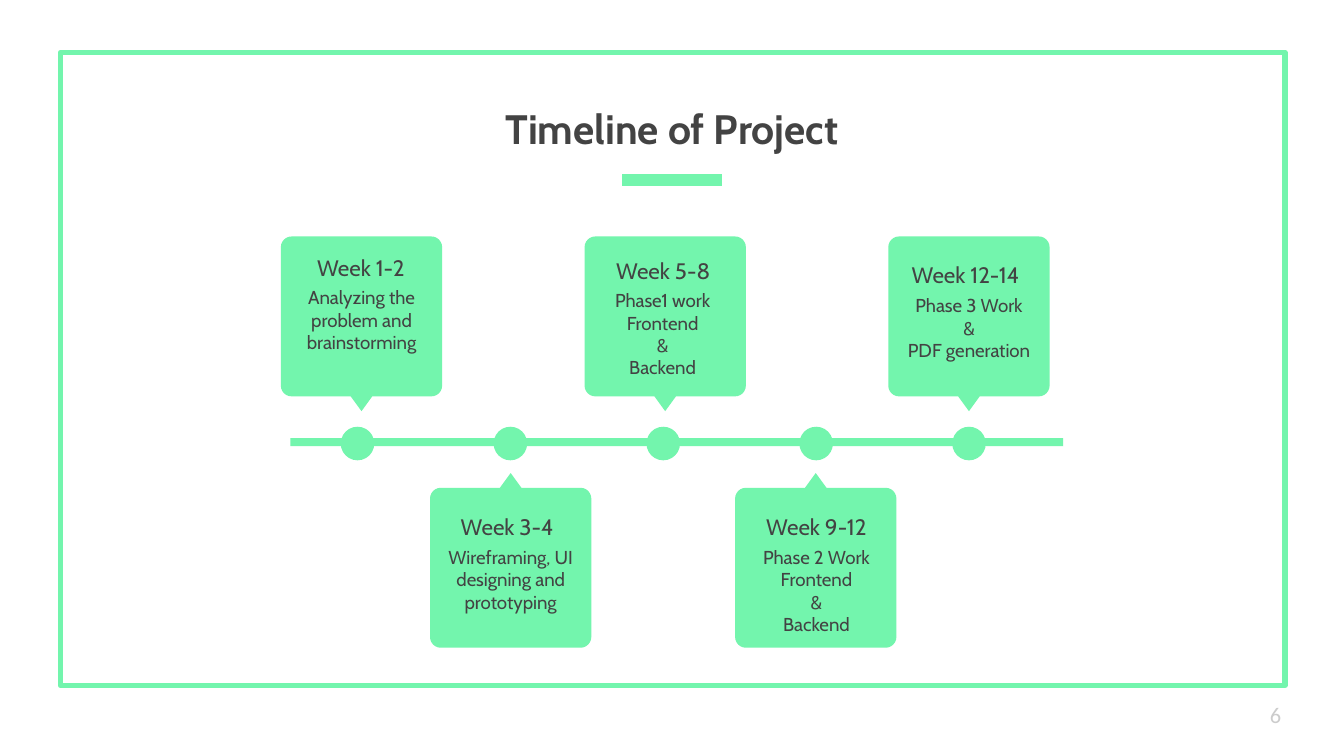
import math
from lxml import etree
from pptx import Presentation
from pptx.dml.color import RGBColor
from pptx.enum.shapes import MSO_CONNECTOR, MSO_SHAPE
from pptx.enum.text import MSO_ANCHOR, PP_ALIGN
from pptx.oxml.ns import qn
from pptx.util import Inches, Pt

TOP, MIDDLE, BOTTOM = MSO_ANCHOR.TOP, MSO_ANCHOR.MIDDLE, MSO_ANCHOR.BOTTOM
LEFT, CENTER = PP_ALIGN.LEFT, PP_ALIGN.CENTER
RECTANGLE, OVAL, STRAIGHT = MSO_SHAPE.RECTANGLE, MSO_SHAPE.OVAL, MSO_CONNECTOR.STRAIGHT

COLORS = {"mint": "73F5AD", "text": "434343", "number": "CCCCCC"}
SLIDE_WIDTH = 10
CARD_WIDTH, CARD_HEIGHT, CORNER = 1.2, 1.19, 0.08
POINTER_HALF, POINTER_HEIGHT = 0.08, 0.11
DOT_SIZE, FIRST_DOT, LAST_DOT, DOT_MIDDLE = 0.25, 2.66, 7.21, 3.3

MILESTONES = [
    {"card": (2.09, 1.76), "down": True,
     "week": "Week 1-2", "week_box": (2.22, 1.79, 0.93, 0.26),
     "work": ["Analyzing the problem and brainstorming"], "work_box": (2.09, 2.03, 1.2, 0.9)},
    {"card": (3.2, 3.63), "down": False,
     "week": "Week 3-4", "week_box": (3.31, 3.72, 0.93, 0.37),
     "work": ["Wireframing, UI designing and prototyping"], "work_box": (3.22, 3.96, 1.16, 0.74)},
    {"card": (4.35, 1.76), "down": True,
     "week": "Week 5-8", "week_box": (4.47, 1.81, 0.93, 0.37),
     "work": ["Phase1 work", "Frontend", "&", "Backend"], "work_box": (4.33, 2.05, 1.2, 0.74)},
    {"card": (5.47, 3.63), "down": False,
     "week": "Week 9-12", "week_box": (5.54, 3.72, 1.07, 0.37),
     "work": ["Phase 2 Work", "Frontend", "&", "Backend"], "work_box": (5.46, 3.96, 1.23, 0.74)},
    {"card": (6.61, 1.76), "down": True,
     "week": "Week 12-14", "week_box": (6.58, 1.84, 1.21, 0.37),
     "work": ["Phase 3 Work", "&", "PDF generation"], "work_box": (6.51, 2.09, 1.4, 0.74)},
]


def color(name):
    return RGBColor.from_string(COLORS[name])


def paint(shape):
    shape.shadow.inherit = False
    shape.fill.solid()
    shape.fill.fore_color.rgb = color("mint")
    shape.line.fill.background()


def place(shape, box):
    shape.left, shape.top, shape.width, shape.height = map(Inches, box)


def write(shape, lines, size, ink="text", font="Cabin", bold=False, align=CENTER, anchor=TOP):
    frame = shape.text_frame
    frame.word_wrap = True
    frame.vertical_anchor = anchor
    frame.margin_left = frame.margin_right = Inches(0.1)
    frame.margin_top = frame.margin_bottom = Inches(0.1)
    for index, line in enumerate(lines):
        paragraph = frame.add_paragraph() if index else frame.paragraphs[0]
        paragraph.alignment = align
        run = paragraph.add_run()
        run.text = line
        run.font.size = Pt(size)
        run.font.name = font
        run.font.bold = bold
        run.font.color.rgb = color(ink)


def add_text(slide, box, lines, size, **style):
    write(slide.shapes.add_textbox(*map(Inches, box)), lines, size, **style)


def add_title(slide, title):
    place(slide.shapes.title, (0, 0.24, SLIDE_WIDTH, 1))
    write(slide.shapes.title, [title], 22, bold=True, anchor=BOTTOM)


def add_frame(slide):
    border = slide.shapes.add_shape(RECTANGLE, *map(Inches, (0.45, 0.39, 9.11, 4.71)))
    border.shadow.inherit = False
    border.fill.background()
    border.line.color.rgb = color("mint")
    border.line.width = Pt(3)


def add_line(slide, start, end, width):
    line = slide.shapes.add_connector(STRAIGHT, *map(Inches, (*start, *end)))
    line.line.color.rgb = color("mint")
    line.line.width = Pt(width)
    etree.SubElement(line._element.spPr, qn("a:effectLst"))


def card_outline():
    corners = [
        (CORNER, CORNER, 180),
        (CARD_WIDTH - CORNER, CORNER, 270),
        (CARD_WIDTH - CORNER, CARD_HEIGHT - CORNER, 0),
        (CORNER, CARD_HEIGHT - CORNER, 90),
    ]
    arcs = [
        [(x + CORNER * math.cos(math.radians(start + turn)),
          y + CORNER * math.sin(math.radians(start + turn))) for turn in range(0, 91, 15)]
        for x, y, start in corners
    ]
    middle = CARD_WIDTH / 2
    pointer = [
        (middle + POINTER_HALF, CARD_HEIGHT),
        (middle, CARD_HEIGHT + POINTER_HEIGHT),
        (middle - POINTER_HALF, CARD_HEIGHT),
    ]
    return arcs[0] + arcs[1] + arcs[2] + pointer + arcs[3]


def add_card(slide, left, top, down):
    points = [
        (Inches(left + x), Inches(top + (y if down else CARD_HEIGHT - y)))
        for x, y in card_outline()
    ]
    builder = slide.shapes.build_freeform(*points[0])
    builder.add_line_segments(points[1:], close=True)
    paint(builder.convert_to_shape())


def add_dot(slide, center):
    left, top = center - DOT_SIZE / 2, DOT_MIDDLE - DOT_SIZE / 2
    paint(slide.shapes.add_shape(OVAL, *map(Inches, (left, top, DOT_SIZE, DOT_SIZE))))


def add_axis(slide):
    paint(slide.shapes.add_shape(RECTANGLE, *map(Inches, (2.16, 3.26, 5.75, 0.06))))


def main():
    deck = Presentation()
    deck.slide_width = Inches(SLIDE_WIDTH)
    deck.slide_height = Inches(SLIDE_WIDTH * 9 / 16)
    slide = deck.slides.add_slide(deck.slide_layouts[5])
    add_frame(slide)
    add_line(slide, (4.63, 1.34), (5.37, 1.34), 6)
    add_title(slide, "Timeline of Project")
    add_axis(slide)
    dot_step = (LAST_DOT - FIRST_DOT) / (len(MILESTONES) - 1)
    for index, milestone in enumerate(MILESTONES):
        add_card(slide, *milestone["card"], milestone["down"])
        add_dot(slide, FIRST_DOT + index * dot_step)
        add_text(slide, milestone["work_box"], milestone["work"], 10)
        add_text(slide, milestone["week_box"], [milestone["week"]], 12)
    add_text(slide, (9.35, 5.1, 0.6, 0.43), ["6"], 12,
             ink="number", font="Calibri", align=LEFT, anchor=MIDDLE)
    deck.save("out.pptx")


if __name__ == "__main__":
    main()
